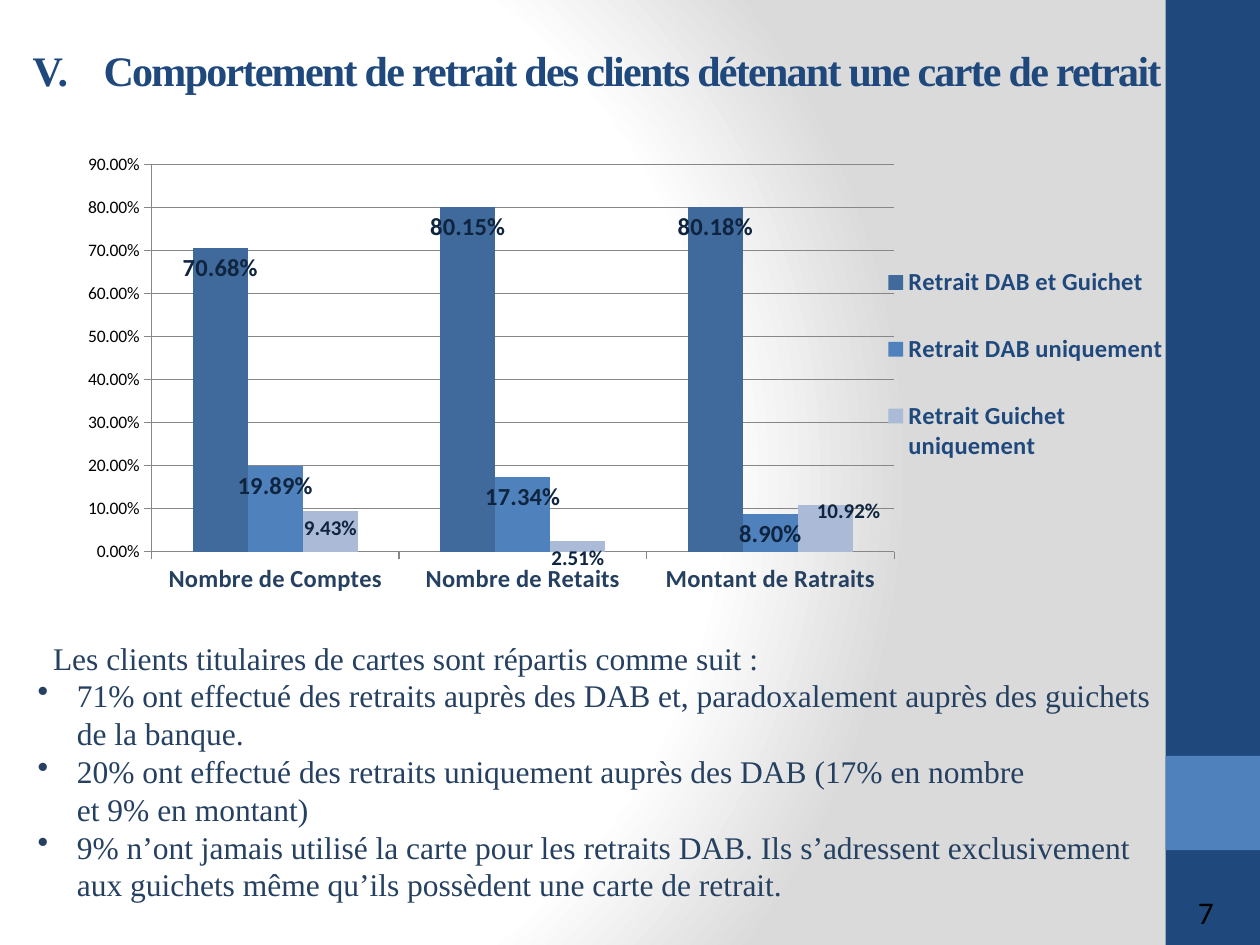
import dataclasses

import pptx
import pptx.chart.data
import pptx.dml.color
import pptx.enum.chart
import pptx.enum.shapes
import pptx.enum.text
import pptx.oxml
import pptx.oxml.ns
import pptx.util

Cm = pptx.util.Cm
Pt = pptx.util.Pt
NS = pptx.oxml.ns.nsdecls("a", "c", "p")


@dataclasses.dataclass(frozen=True)
class Theme:
    serif: str = "Times New Roman"
    sans: str = "Calibri"
    navy: str = "1F497D"
    blue: str = "4F81BD"
    body: str = "254061"
    label: str = "0F243E"
    black: str = "000000"
    grid: str = "878787"
    bg_light: str = "FFFFFF"
    bg_dark: str = "DADADA"
    series: tuple = ("40699C", "4F81BD", "AABAD7")
    label_sizes: tuple = (14, 14, 12)
    title_size: int = 24
    text_size: int = 18
    chart_size: int = 14
    axis_size: int = 10


T = Theme()

TITLE = "Comportement de retrait des clients détenant une carte de retrait\u00a0:"
INTRO = "Les clients titulaires de cartes sont répartis comme suit\u00a0:"
FINDINGS = (
    "71% ont effectué des retraits auprès des DAB et, paradoxalement auprès des guichets de la banque.",
    "20% ont effectué des retraits uniquement auprès des DAB (17% en nombre \vet 9% en montant)",
    "9% n’ont jamais utilisé la carte pour les retraits DAB. Ils s’adressent exclusivement "
    "aux guichets même qu’ils possèdent une carte de retrait.",
)
CATEGORIES = ("Nombre de Comptes", "Nombre de Retaits", "Montant de Ratraits")
SERIES = {
    "Retrait DAB et Guichet": (0.7068, 0.8015, 0.8018),
    "Retrait DAB uniquement": (0.1989, 0.1734, 0.089),
    "Retrait Guichet uniquement": (0.0943, 0.0251, 0.1092),
}


def rgb(color):
    return pptx.dml.color.RGBColor.from_string(color)


def xml(text):
    """Parse an element, declaring its namespaces on the first tag."""
    tag, rest = text.split(">", 1)
    if tag.endswith("/"):
        return pptx.oxml.parse_xml(f"{tag[:-1]} {NS}/>{rest}")
    return pptx.oxml.parse_xml(f"{tag} {NS}>{rest}")


def set_font(font, color, **formats):
    font.color.rgb = rgb(color)
    for name, value in formats.items():
        setattr(font, name, Pt(value) if name == "size" else value)


def set_background(slide):
    stops = ((0, T.bg_light), (75, T.bg_light), (100, T.bg_dark))
    gs = "".join(f'<a:gs pos="{pos * 1000}"><a:srgbClr val="{color}"/></a:gs>' for pos, color in stops)
    bg = xml(
        f'<p:bg><p:bgPr><a:gradFill rotWithShape="1"><a:gsLst>{gs}</a:gsLst><a:path path="circle">'
        '<a:fillToRect l="20000" t="50000" r="100000" b="50000"/></a:path></a:gradFill>'
        "<a:effectLst/></p:bgPr></p:bg>"
    )
    slide.element.cSld.insert(0, bg)


def add_band(slide, box, color):
    sp = slide.shapes.add_shape(pptx.enum.shapes.MSO_SHAPE.RECTANGLE, *map(Cm, box))
    sp.shadow.inherit = False
    sp.fill.solid()
    sp.fill.fore_color.rgb = rgb(color)
    sp.line.fill.background()


def add_text(slide, box):
    tf = slide.shapes.add_textbox(*map(Cm, box)).text_frame
    tf.word_wrap = True
    return tf


def write(p, text, color, indent=(0, 0), bullet=None, **formats):
    """Fill a paragraph; indent is (left margin, first line) in cm."""
    p.text = text
    for r in p.runs:
        set_font(r.font, color, **formats)
    pPr = p._p.get_or_add_pPr()
    for name, value in zip(("marL", "indent"), indent):
        pPr.set(name, str(int(Cm(value))))
    if bullet:
        pPr.append(xml(bullet))


def add_title(slide):
    p = add_text(slide, (0.41, 0.78, 24.41, 1.3)).paragraphs[0]
    write(p, TITLE, T.navy, (1.43, -1.43), '<a:buAutoNum type="romanUcPeriod" startAt="5"/>',
          size=T.title_size, name=T.serif, bold=True)
    for r in p.runs:
        r.font._element.set("spc", "-100")


def add_findings(slide):
    tf = add_text(slide, (0.51, 12.75, 23.39, 5.64))
    formats = {"size": T.text_size, "name": T.serif}
    write(tf.paragraphs[0], INTRO, T.body, (0, 0.31), **formats)
    for text in FINDINGS:
        write(tf.add_paragraph(), text, T.body, (0.79, -0.79), '<a:buChar char="•"/>', **formats)


def manual_layout(x, y, w=None, h=None, inner=False, edge=True):
    target = '<c:layoutTarget val="inner"/>' if inner else ""
    modes = '<c:xMode val="edge"/><c:yMode val="edge"/>' if edge else ""
    places = "".join(f'<c:{k} val="{v}"/>' for k, v in zip("xywh", (x, y, w, h)) if v is not None)
    return xml(f"<c:layout><c:manualLayout>{target}{modes}{places}</c:manualLayout></c:layout>")


def style_axes(chart):
    for axis in (chart.category_axis, chart.value_axis):
        axis.format.line.color.rgb = rgb(T.grid)
        axis.major_tick_mark = pptx.enum.chart.XL_TICK_MARK.OUTSIDE
    set_font(chart.category_axis.tick_labels.font, T.body, size=T.chart_size, bold=True)
    values = chart.value_axis
    values.minimum_scale, values.maximum_scale, values.major_unit = 0, 0.9, 0.1
    values.major_gridlines.format.line.color.rgb = rgb(T.grid)
    values.tick_labels.number_format = "0.00%"
    values.tick_labels.number_format_is_linked = False


def style_series(series, color, label_size):
    series.format.fill.solid()
    series.format.fill.fore_color.rgb = rgb(color)
    labels = series.data_labels
    formats = {
        "show_value": True,
        "number_format": "0.00%",
        "number_format_is_linked": False,
        "position": pptx.enum.chart.XL_LABEL_POSITION.INSIDE_END,
    }
    for name, value in formats.items():
        setattr(labels, name, value)
    set_font(labels.font, T.label, size=label_size, bold=True)


def shift_label(series, index, dx, dy):
    """Move one data label by a fraction of the chart size."""
    label = series.points[index].data_label
    label.position = pptx.enum.chart.XL_LABEL_POSITION.INSIDE_END
    set_font(label.font, T.label, size=T.label_sizes[-1], bold=True)
    dLbl = series.data_labels._element.find(pptx.oxml.ns.qn("c:dLbl"))
    dLbl.insert(1, manual_layout(dx, dy, edge=False))


def add_withdrawal_chart(slide):
    data = pptx.chart.data.CategoryChartData(number_format="0.00%")
    data.categories = CATEGORIES
    for name, values in SERIES.items():
        data.add_series(name, values)
    kind = pptx.enum.chart.XL_CHART_TYPE.COLUMN_CLUSTERED
    chart = slide.shapes.add_chart(kind, *map(Cm, (0.25, 2.13, 23.39, 11.46)), data).chart
    chart.has_title = False
    set_font(chart.font, T.black, size=T.axis_size, name=T.sans)
    style_axes(chart)

    plot = chart.plots[0]
    plot.gap_width, plot.overlap, plot.vary_by_categories = 150, 0, False
    for series, color, size in zip(plot.series, T.series, T.label_sizes):
        style_series(series, color, size)
    shift_label(plot.series[2], 2, 0.02, -0.02)

    chart.has_legend = True
    legend = chart.legend
    legend.position = pptx.enum.chart.XL_LEGEND_POSITION.RIGHT
    legend.include_in_layout = False
    set_font(legend.font, T.navy, size=T.chart_size, bold=True)

    area = chart._chartSpace.chart.plotArea
    for parent, index, layout in (
        (area, 0, manual_layout(0.12, 0.104, 0.64, 0.681, inner=True)),
        (legend._element, 1, manual_layout(0.75, 0.22, 0.25, 0.47)),
    ):
        for old in parent.findall(pptx.oxml.ns.qn("c:layout")):
            parent.remove(old)
        parent.insert(index, layout)


def main():
    prs = pptx.Presentation()
    prs.slide_width, prs.slide_height = Cm(25.4), Cm(19.05)
    slide = prs.slides.add_slide(prs.slide_layouts[6])
    set_background(slide)
    add_band(slide, (23.5, 0, 1.9, 19.05), T.navy)
    add_band(slide, (23.5, 15.24, 1.9, 1.9), T.blue)
    add_title(slide)
    add_withdrawal_chart(slide)
    add_findings(slide)
    number = add_text(slide, (23.9, 17.88, 1.5, 1.02))
    write(number.paragraphs[0], "7", T.black, size=T.text_size, name=T.sans)
    prs.save("out.pptx")


if __name__ == "__main__":
    main()
